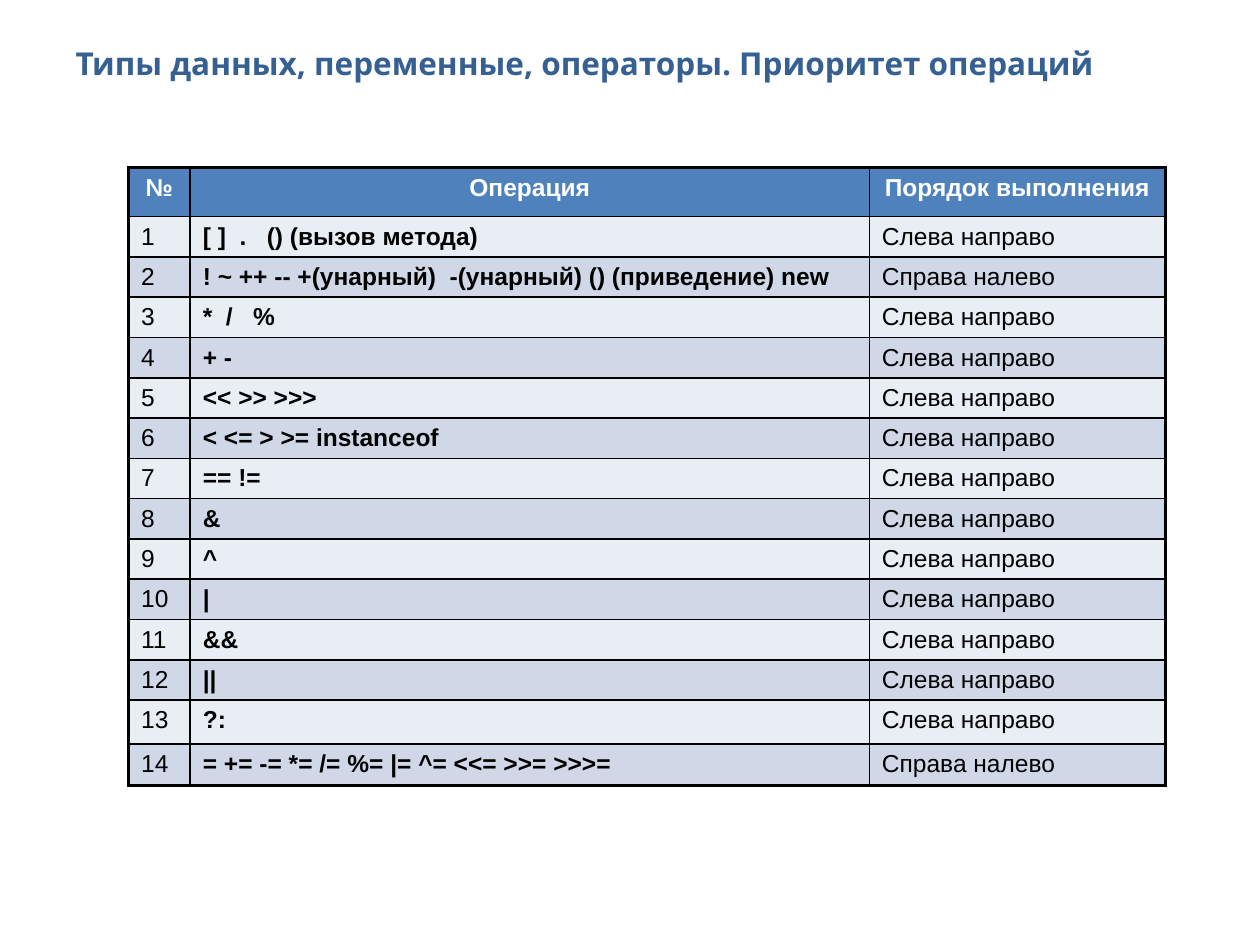
from lxml.etree import SubElement
from pptx import Presentation
from pptx.dml.color import RGBColor
from pptx.enum.text import MSO_ANCHOR, PP_ALIGN
from pptx.oxml.ns import qn
from pptx.util import Inches, Pt

COLUMNS = (0.49, 5.39, 2.35)
ROWS = (0.39, *[0.32] * 12, 0.35, 0.33)
HEADINGS = ("№", "Операция", "Порядок выполнения")
OPERATIONS = (
    "[ ]  .   () (вызов метода)",
    "! ~ ++ -- +(унарный)  -(унарный) () (приведение) new",
    "*  /   %",
    "+ - ",
    "<< >> >>>",
    "< <= > >= instanceof",
    "== !=",
    "&",
    "^",
    "|",
    "&&",
    "||",
    "?:",
    "= += -= *= /= %= |= ^= <<= >>= >>>=",
)
RIGHT_TO_LEFT = (2, 14)


def color(value):
    return RGBColor.from_string(value)


def style(para, font_name, size, hex_color, bold, align):
    para.alignment = align
    para.font.name = font_name
    para.font.size = Pt(size)
    para.font.bold = bold
    para.font.color.rgb = color(hex_color)


def set_borders(cell, thick_sides):
    properties = cell._tc.get_or_add_tcPr()
    for index, side in enumerate(("L", "R", "T", "B")):
        width = Pt(2.21 if side in thick_sides else 0.96)
        line = properties.makeelement(qn(f"a:ln{side}"), {"w": str(width)})
        fill = SubElement(line, qn("a:solidFill"))
        SubElement(fill, qn("a:srgbClr"), val="000000")
        properties.insert(index, line)


def add_title(page, box, text):
    title = page.shapes.title
    title.left, title.top, title.width, title.height = map(Inches, box)
    frame = title.text_frame
    frame.text = text
    frame.word_wrap = True
    frame.vertical_anchor = MSO_ANCHOR.TOP
    style(frame.paragraphs[0], "Open Sans", 18, "376092", True, PP_ALIGN.LEFT)


def add_priority_table(page, left, top):
    records = [HEADINGS]
    for number, operation in enumerate(OPERATIONS, 1):
        order = "Справа налево" if number in RIGHT_TO_LEFT else "Слева направо"
        records.append((str(number), operation, order))
    box = map(Inches, (left, top, sum(COLUMNS), sum(ROWS)))
    table = page.shapes.add_table(len(ROWS), len(COLUMNS), *box).table
    for column, width in zip(table.columns, COLUMNS):
        column.width = Inches(width)
    for row, height in zip(table.rows, ROWS):
        row.height = Inches(height)

    last_row, last_column = len(ROWS) - 1, len(COLUMNS) - 1
    for r, record in enumerate(records):
        header = r == 0
        band = "4F81BD" if header else ("D0D8E8", "E9EDF4")[r % 2]
        for c, text in enumerate(record):
            cell = table.cell(r, c)
            cell.text = text
            cell.fill.solid()
            cell.fill.fore_color.rgb = color(band)
            style(cell.text_frame.paragraphs[0], "Arial", 14,
                  "FFFFFF" if header else "000000", header or c == 1,
                  PP_ALIGN.CENTER if header else PP_ALIGN.LEFT)
            edges = {"L": c == 0, "R": c == last_column, "T": header, "B": r == last_row}
            set_borders(cell, [side for side, outer in edges.items() if outer])


deck = Presentation()
deck.slide_width, deck.slide_height = Inches(10), Inches(7.5)
page = deck.slides.add_slide(deck.slide_layouts[5])
add_title(page, (0.5, 0.3, 9, 0.78), "Типы данных, переменные, операторы. Приоритет операций")
add_priority_table(page, 1.02, 1.33)
deck.save("out.pptx")
